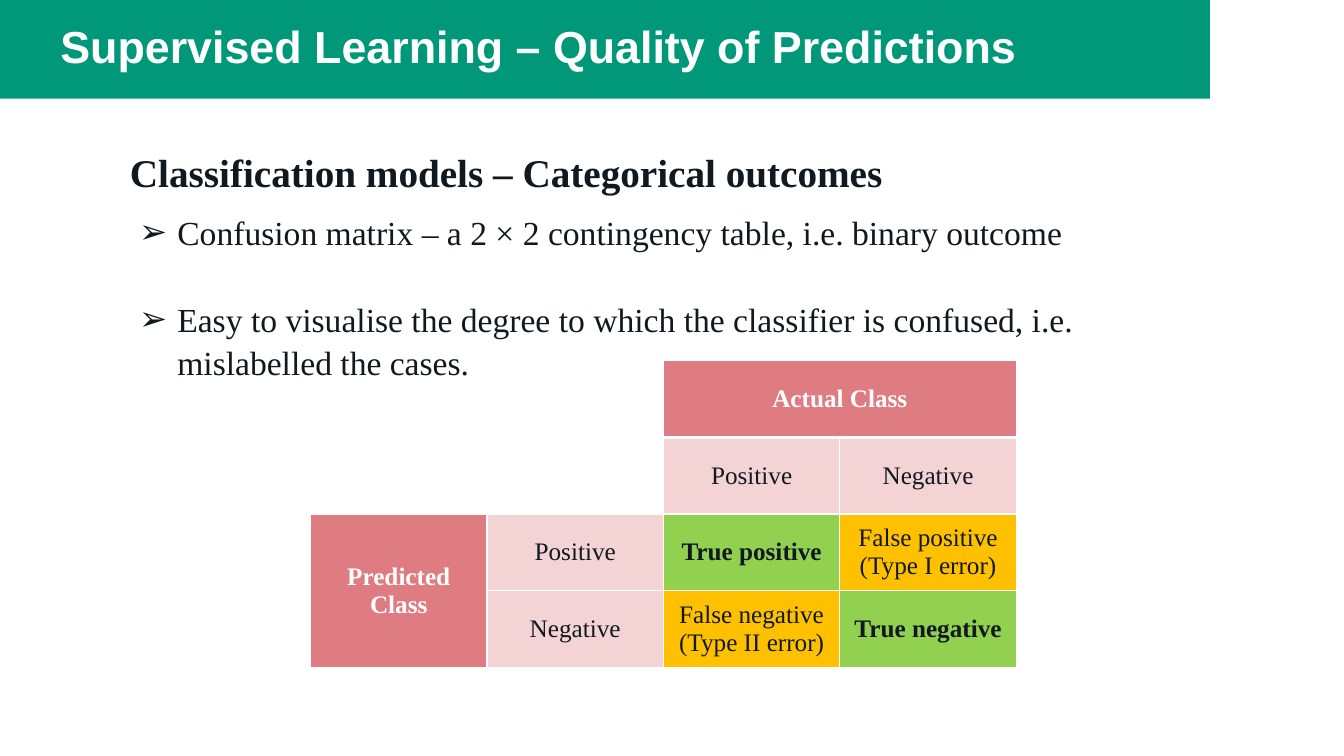
import pptx
import pptx.util
import pptx.dml.color
import pptx.enum.shapes
import pptx.enum.text
import pptx.oxml.ns
import lxml.etree

EMU_PER_PX = 9144  # 100 px to the inch
SERIF = "Times New Roman"
GREEN, WHITE, INK = "009878", "FFFFFF", "101920"
ROSE, PALE_ROSE, LIME, AMBER = "DF7C81", "F4D3D5", "92D050", "FFC000"

# row, column, row span, column span, text, fill, text colour, bold
MATRIX_CELLS = [
    (0, 2, 1, 2, "Actual Class", ROSE, WHITE, True),
    (1, 2, 1, 1, "Positive", PALE_ROSE, INK, False),
    (1, 3, 1, 1, "Negative", PALE_ROSE, INK, False),
    (2, 0, 2, 1, "Predicted Class", ROSE, WHITE, True),
    (2, 1, 1, 1, "Positive", PALE_ROSE, INK, False),
    (2, 2, 1, 1, "True positive", LIME, INK, True),
    (2, 3, 1, 1, "False positive (Type I error)", AMBER, INK, False),
    (3, 1, 1, 1, "Negative", PALE_ROSE, INK, False),
    (3, 2, 1, 1, "False negative (Type II error)", AMBER, INK, False),
    (3, 3, 1, 1, "True negative", LIME, INK, True),
]


def px(length):
    return pptx.util.Emu(length * EMU_PER_PX)


def colour(value):
    return pptx.dml.color.RGBColor.from_string(value)


def add_element(parent, tag, **attributes):
    name = pptx.oxml.ns.qn(tag)
    return lxml.etree.SubElement(parent, name, attributes)


def write(para, text, size=18, font=SERIF, ink=INK, bold=False, align=None,
          before=0, spacing=None, bullet=None):
    if bullet:
        properties = para._p.get_or_add_pPr()
        properties.set("marL", str(px(47)))
        properties.set("indent", str(px(-38)))
        add_element(properties, "a:buFont", typeface="Wingdings 3" if bullet != "➢" else "Arial")
        add_element(properties, "a:buChar", char=bullet)
    para.alignment = align
    para.space_before = pptx.util.Pt(before)
    para.line_spacing = spacing
    span = para.add_run()
    span.text = text
    span.font.size = pptx.util.Pt(size)
    span.font.name = font
    span.font.bold = bold
    span.font.color.rgb = colour(ink)


def add_text_frame(page, box):
    frame = page.shapes.add_textbox(*map(px, box)).text_frame
    frame.word_wrap = True
    return frame


def set_borders(cell, **widths):
    properties = cell._tc.get_or_add_tcPr()
    for side in ("L", "R", "T", "B"):
        width = pptx.util.Pt(widths.get(side, 1))
        line = add_element(properties, f"a:ln{side}", w=str(width))
        add_element(add_element(line, "a:solidFill"), "a:srgbClr", val=WHITE)


# Green band across the top
def add_band(page, box):
    band = page.shapes.add_shape(
        pptx.enum.shapes.MSO_SHAPE.RECTANGLE, *map(px, box))
    band.shadow.inherit = False
    band.fill.solid()
    band.fill.fore_color.rgb = colour(GREEN)
    band.line.fill.background()


# Title on the band
def add_title(page, box):
    frame = add_text_frame(page, box)
    frame.vertical_anchor = pptx.enum.text.MSO_ANCHOR.MIDDLE
    write(frame.paragraphs[0], "Supervised Learning – Quality of Predictions",
          size=32, font="Arial", ink=WHITE, bold=True, spacing=0.9)


# Heading and bullets
def add_body(page, box):
    frame = add_text_frame(page, box)
    write(frame.paragraphs[0], "Classification models – Categorical outcomes",
          size=28, bold=True, spacing=1.07)
    bullets = [
        ("Confusion matrix – a 2 × 2 contingency table, i.e. binary outcome", 10),
        ("Easy to visualise the degree to which the classifier is confused, "
         "i.e. mislabelled the cases.", 31),
    ]
    for text, before in bullets:
        write(frame.add_paragraph(), text, size=24, before=before,
              spacing=1.07, bullet="➢")


# Confusion matrix
def add_matrix(page, box):
    left, top, width, height = box
    count = 4
    table = page.shapes.add_table(count, count, *map(px, box)).table
    table.first_row = table.horz_banding = False
    for column in table.columns:
        column.width = px(width // count)
    for row in table.rows:
        row.height = px(height // count)
    for row in range(count):
        for column in range(count):
            cell = table.cell(row, column)
            set_borders(cell, T=3 if row == 1 else 1, B=3 if row == 0 else 1)
            cell.fill.background()
    for row, column, rows, columns, text, fill, ink, bold in MATRIX_CELLS:
        cell = table.cell(row, column)
        if rows * columns > 1:
            cell.merge(table.cell(row + rows - 1, column + columns - 1))
        cell.fill.solid()
        cell.fill.fore_color.rgb = colour(fill)
        cell.vertical_anchor = pptx.enum.text.MSO_ANCHOR.MIDDLE
        write(cell.text_frame.paragraphs[0], text, ink=ink, bold=bold,
              align=pptx.enum.text.PP_ALIGN.CENTER)


def main():
    deck = pptx.Presentation()
    deck.slide_width, deck.slide_height = px(1333), px(750)
    page = deck.slides.add_slide(deck.slide_layouts[6])
    add_band(page, (0, 0, 1200, 98))
    add_matrix(page, (308, 358, 700, 304))
    add_body(page, (119, 139, 1079, 546))
    add_title(page, (50, 0, 1150, 98))
    deck.save("out.pptx")


if __name__ == "__main__":
    main()
